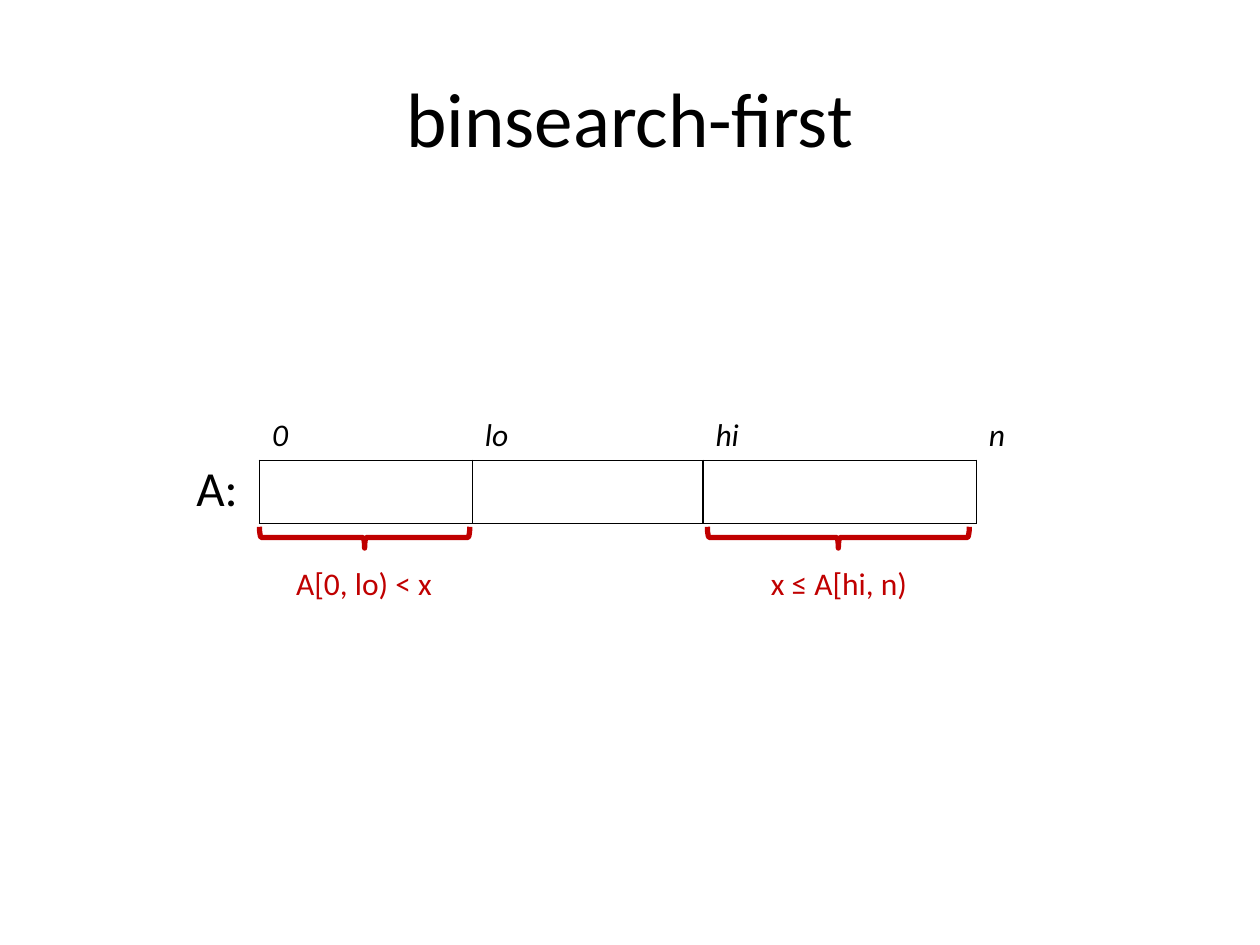
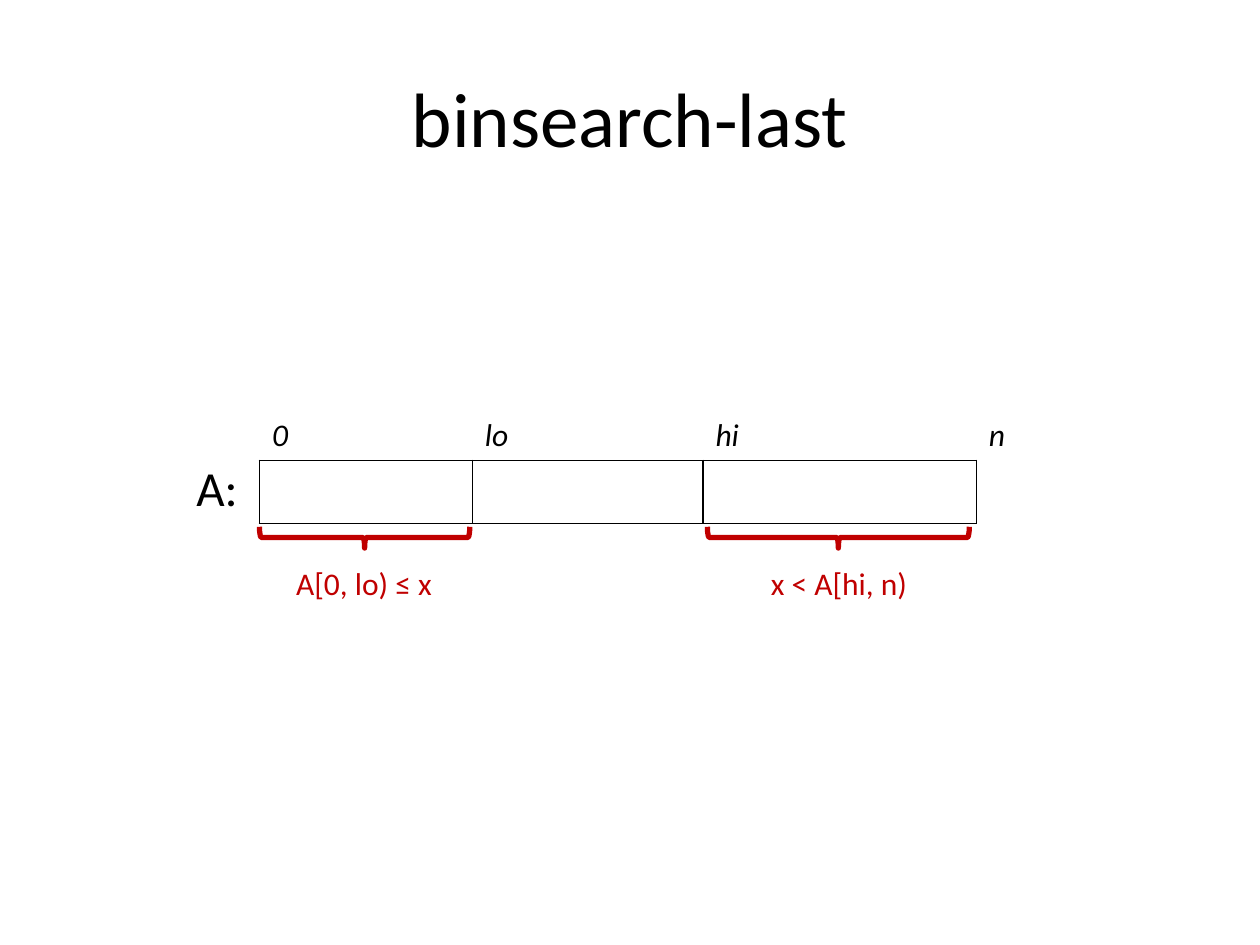
"""Two slides that show the loop invariants of binary search on an array."""
from dataclasses import dataclass

from lxml import etree
from pptx import Presentation
from pptx import util as u
from pptx.dml.color import RGBColor
from pptx.enum import shapes, text
from pptx.oxml.ns import qn

COLOURS = {"ink": "000000", "invariant": "C00000"}
FONT = "Calibri"
ARRAY_LEFT, ARRAY_TOP = 5.23, 8.26
INDEX_ROW, VALUE_ROW = 1.02, 1.27
SECTIONS = {"0": 4.29, "lo": 4.65, "hi": 5.51, "n": 0.84}
BRACE_TOP, BRACE_DEPTH = 10.62, 0.43
BORDER_SIDES = "LRTB"


@dataclass(frozen=True)
class Box:
    """Place and size in centimetres."""
    left: float
    top: float
    width: float
    height: float

    def lengths(self) -> tuple[u.Length, ...]:
        """Return left, top, width and height as lengths."""
        return tuple(u.Cm(v) for v in (self.left, self.top, self.width, self.height))


@dataclass(frozen=True)
class Search:
    """A search variant with the invariants of its low and high parts."""
    title: str
    low: str
    high: str


@dataclass(frozen=True)
class Part:
    """Where the brace and the invariant of one array part stand."""
    brace_left: float
    brace_width: float
    claim: Box


TITLE = Box(1.27, 0.76, 22.86, 3.18)
ARRAY_NAME = Box(3.81, 9.09, 1.24, 1.47)
LOW_PART = Part(ARRAY_LEFT, 4.24, Box(5.72, 11.25, 3.35, 1.02))
HIGH_PART = Part(14.26, 5.28, Box(15.29, 11.25, 3.3, 1.02))
SEARCHES = (
    Search("binsearch-first", "A[0, lo) < x", "x ≤ A[hi, n)"),
    Search("binsearch-last", "A[0, lo) ≤ x", "x < A[hi, n)"),
)


def colour(name: str) -> RGBColor:
    """Look up a colour of the deck."""
    return RGBColor.from_string(COLOURS[name])


def add_run(paragraph, words: str, size: int, ink: str = "ink", italic: bool = False) -> None:
    """Add one formatted run."""
    run = paragraph.add_run()
    run.text = words
    run.font.name = FONT
    run.font.size = u.Pt(size)
    run.font.italic = italic
    run.font.color.rgb = colour(ink)


def add_title(slide, words: str) -> None:
    """Place and fill the title placeholder."""
    title = slide.shapes.title
    title.left, title.top, title.width, title.height = TITLE.lengths()
    frame = title.text_frame
    frame.vertical_anchor = text.MSO_ANCHOR.MIDDLE
    frame.paragraphs[0].alignment = text.PP_ALIGN.CENTER
    add_run(frame.paragraphs[0], words, 44)


def add_label(slide, box: Box, words: str, size: int, ink: str = "ink"):
    """Add a one-line label and return its text frame."""
    frame = slide.shapes.add_textbox(*box.lengths()).text_frame
    frame.word_wrap = False
    frame.auto_size = text.MSO_AUTO_SIZE.SHAPE_TO_FIT_TEXT
    add_run(frame.paragraphs[0], words, size, ink)
    return frame


def add_array_name(slide) -> None:
    """Name the array to the left of its sections."""
    frame = add_label(slide, ARRAY_NAME, "A:", 28)
    frame.vertical_anchor = text.MSO_ANCHOR.MIDDLE
    frame.margin_left = frame.margin_right = u.Cm(0.15)
    frame.margin_top = frame.margin_bottom = u.Cm(0.15)


def set_borders(cell, drawn: str) -> None:
    """Draw the listed sides of a cell and clear the others, fill included."""
    properties = cell._tc.get_or_add_tcPr()
    for side in BORDER_SIDES:
        line = etree.SubElement(properties, qn(f"a:ln{side}"), w=str(u.Pt(1)))
        if side in drawn:
            fill = etree.SubElement(line, qn("a:solidFill"))
            etree.SubElement(fill, qn("a:srgbClr"), val=COLOURS["ink"])
        else:
            etree.SubElement(line, qn("a:noFill"))
    cell.fill.background()


def add_array(slide) -> None:
    """Add the array with its indices above the section borders."""
    box = Box(ARRAY_LEFT, ARRAY_TOP, sum(SECTIONS.values()), INDEX_ROW + VALUE_ROW)
    array = slide.shapes.add_table(2, len(SECTIONS), *box.lengths()).table
    array.first_row = array.horz_banding = False
    for row, height in zip(array.rows, (INDEX_ROW, VALUE_ROW)):
        row.height = u.Cm(height)
    for column, (index, width) in enumerate(SECTIONS.items()):
        array.columns[column].width = u.Cm(width)
        is_end = index == "n"
        heading, section = array.cell(0, column), array.cell(1, column)
        heading.vertical_anchor = text.MSO_ANCHOR.BOTTOM
        add_run(heading.text_frame.paragraphs[0], index, 18, italic=True)
        set_borders(heading, "" if is_end else "B")
        set_borders(section, "L" if is_end else BORDER_SIDES)


def add_invariant(slide, part: Part, claim: str) -> None:
    """Add a brace under an array part and the claim below it."""
    upright = Box(
        part.brace_left + (part.brace_width - BRACE_DEPTH) / 2,
        BRACE_TOP + (BRACE_DEPTH - part.brace_width) / 2,
        BRACE_DEPTH,
        part.brace_width,
    )
    brace = slide.shapes.add_shape(shapes.MSO_SHAPE.RIGHT_BRACE, *upright.lengths())
    brace.rotation = 90
    brace.shadow.inherit = False
    brace.fill.background()
    brace.line.color.rgb = colour("invariant")
    brace.line.width = u.Pt(3)
    add_label(slide, part.claim, claim, 18, "invariant")


def main() -> None:
    """Build and save the deck."""
    deck = Presentation()
    deck.slide_width, deck.slide_height = u.Cm(25.4), u.Cm(19.05)
    title_only = deck.slide_layouts.get_by_name("Title Only")
    for search in SEARCHES:
        slide = deck.slides.add_slide(title_only)
        add_title(slide, search.title)
        add_array_name(slide)
        add_array(slide)
        add_invariant(slide, LOW_PART, search.low)
        add_invariant(slide, HIGH_PART, search.high)
    deck.save("out.pptx")


if __name__ == "__main__":
    main()
